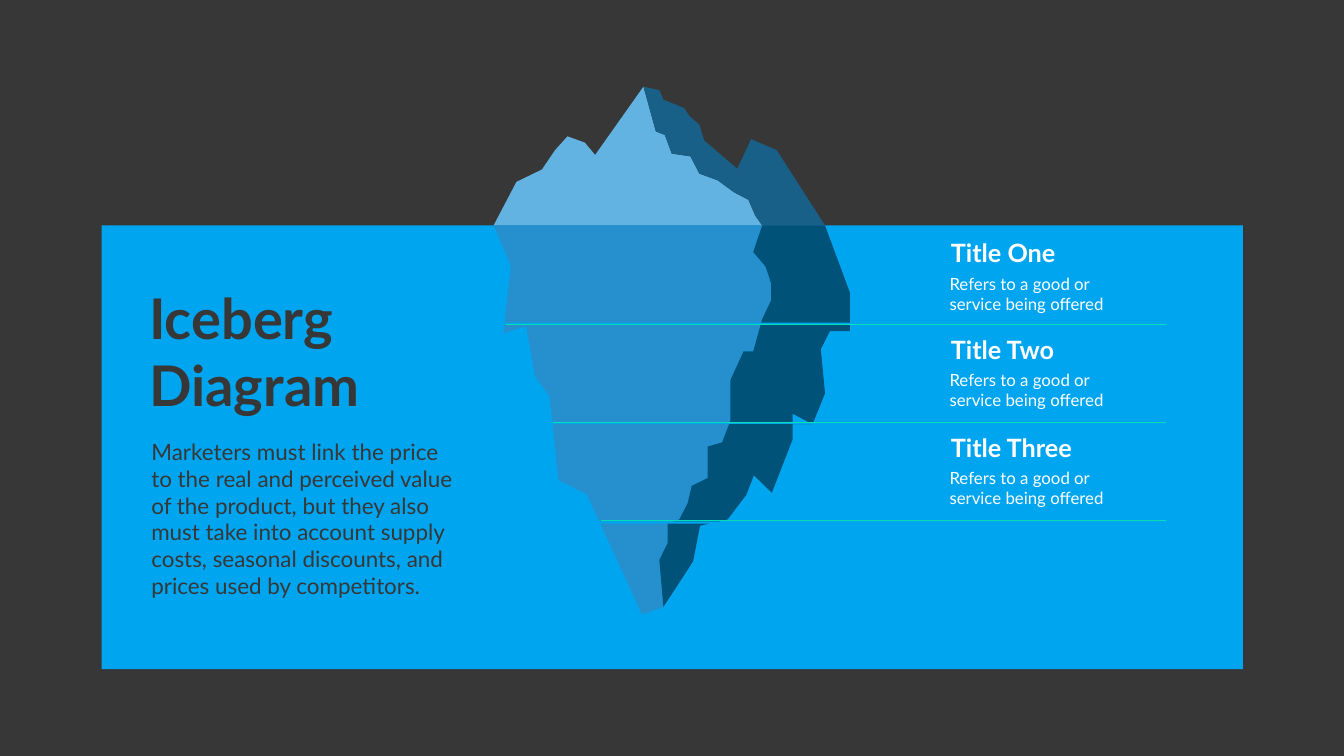
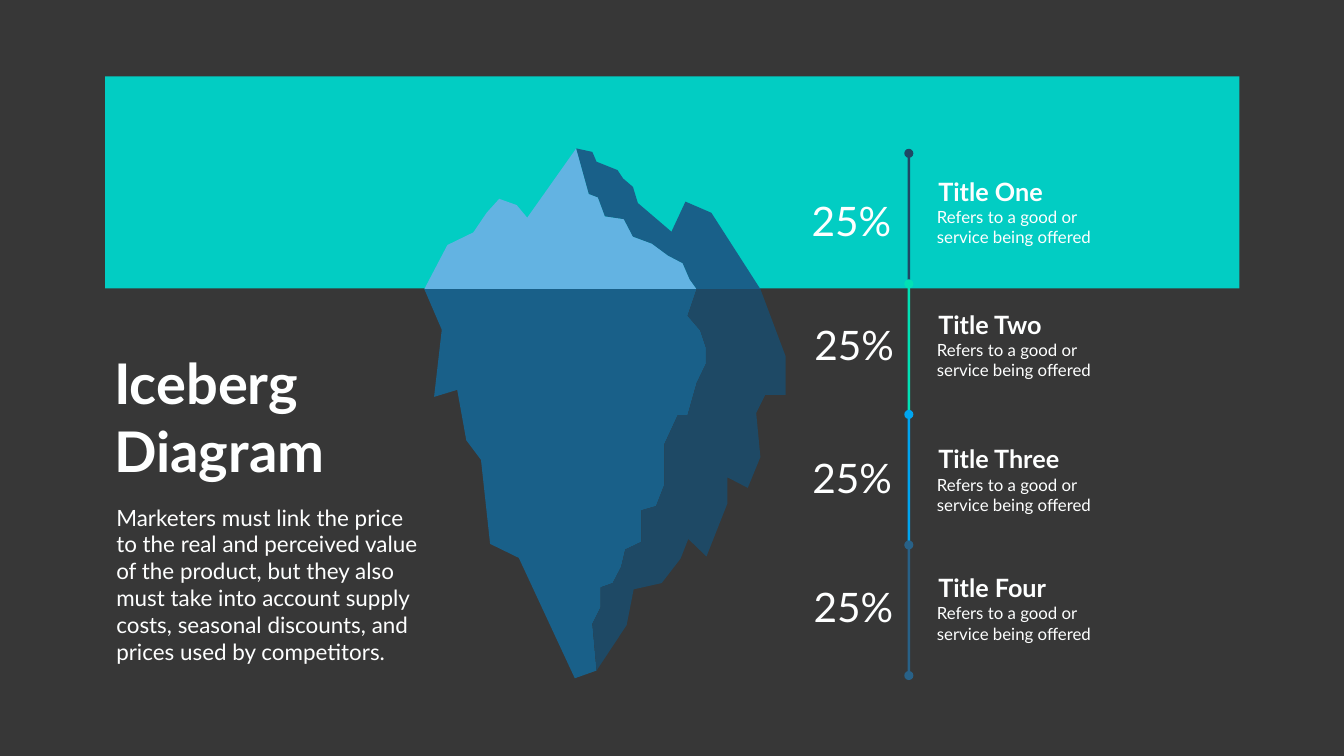
"""Build two iceberg diagram slides that share one iceberg outline."""
from itertools import pairwise

from pptx import Presentation
from pptx.dml.color import RGBColor
from pptx.enum.shapes import MSO_CONNECTOR, MSO_SHAPE
from pptx.enum.text import MSO_AUTO_SIZE
from pptx.oxml.ns import qn
from pptx.util import Pt
from lxml.etree import SubElement

COLORS = {
    "background": "373737", "white": "FFFFFF", "soft_white": "FEFFFF",
    "sea": "00A5F0", "sky": "02CDC3", "mint": "01E1B5",
    "ice_light": "63B3E2", "ice_blue": "2690CE", "ice_mid": "196089",
    "ice_dark": "005278", "ice_navy": "1E4965", "steel": "286187",
}
FONT = "Lato"

HEADLINE = ["Iceberg", "Diagram"]
SUMMARY = [
    "Marketers must link the price to the real and perceived value of the "
    "product, but they also must take into account supply costs, seasonal "
    "discounts, and prices used by competitors."
]
DETAIL = ["Refers to a good or", "service being offered"]

DEPTH_LEVELS = [
    ("Title One", 336, 167),
    ("Title Two", 474, 167),
    ("Title Three", 614, 192),
]
SHARES = [
    ("Title One", 248, 172, "25%", 1152, 276, "ice_navy"),
    ("Title Two", 438, 172, "25%", 1156, 453, "mint"),
    ("Title Three", 630, 192, "25%", 1153, 644, "sea"),
    ("Title Four", 814, 175, "25%", 1155, 828, "steel"),
]

LEFT_PEAKS = [(0, 0), (33, -63), (70, -81), (89, -109), (107, -129),
              (132, -120), (147, -102)]
UPPER_RIDGE = [(217, -201), (235, -136), (248, -131), (258, -104), (285, -100),
               (298, -75), (325, -65), (348, -48), (369, -37), (379, -14),
               (389, 0)]
RIGHT_PEAKS = [(480, 0), (410, -109), (373, -125), (353, -82), (305, -123),
               (298, -146), (284, -158), (276, -170), (246, -182), (240, -196)]
LOWER_RIDGE = [(389, 0), (376, 38), (394, 59), (402, 83), (402, 107),
               (389, 134), (376, 180), (362, 180), (343, 221), (343, 279),
               (331, 310), (310, 316), (310, 361), (287, 372), (281, 397),
               (269, 420), (252, 426), (252, 454), (240, 478), (246, 545)]
LEFT_KEEL = [(215, 556), (135, 384), (94, 364), (81, 244), (60, 216),
             (47, 144), (14, 154), (25, 58), (0, 0)]
RIGHT_KEEL = [(289, 480), (299, 429), (339, 420), (366, 385), (377, 357),
              (403, 382), (433, 306), (433, 269), (462, 284), (480, 240),
              (474, 177), (487, 151), (516, 151), (516, 96), (480, 0)]
KEEL_DEPTH = 556


def color(key):
    return RGBColor.from_string(COLORS[key])


def paint(shape, fill):
    shape.shadow.inherit = False
    shape.fill.solid()
    shape.fill.fore_color.rgb = color(fill)
    shape.line.fill.background()


def add_block(slide, kind, box, fill):
    paint(slide.shapes.add_shape(kind, *map(Pt, box)), fill)


def add_outline(slide, points, fill):
    start, *rest = [(Pt(x), Pt(y)) for x, y in points]
    builder = slide.shapes.build_freeform(*start)
    builder.add_line_segments(rest, close=True)
    paint(builder.convert_to_shape(), fill)


def add_text(slide, box, lines, size, ink, bold=False, wrap=True):
    frame = slide.shapes.add_textbox(*map(Pt, box)).text_frame
    frame.word_wrap = wrap
    frame.auto_size = MSO_AUTO_SIZE.SHAPE_TO_FIT_TEXT
    frame.text = "\n".join(lines)
    for paragraph in frame.paragraphs:
        font = paragraph.font
        font.name, font.size, font.bold = FONT, Pt(size), bold
        font.color.rgb = color(ink)


def clip(points, limit, sign):
    """Keep the part of an outline below (sign 1) or above (sign -1) a depth."""
    kept = []
    for (x1, y1), (x2, y2) in pairwise(points + points[:1]):
        first, second = sign * (y1 - limit), sign * (y2 - limit)
        if first >= 0:
            kept.append((x1, y1))
        if first * second < 0:
            kept.append((x1 + (x2 - x1) * first / (first - second), limit))
    return kept


def add_iceberg(slide, origin, stretch, layers, tip_fills, keel_fills):
    left, waterline = origin

    def place(points, rise):
        return [(left + x * stretch, waterline + y * rise) for x, y in points]

    tips = [LEFT_PEAKS + UPPER_RIDGE, UPPER_RIDGE + RIGHT_PEAKS]
    for tip, fill in zip(tips, tip_fills):
        add_outline(slide, place(tip, stretch), fill)
    keels = [LOWER_RIDGE + LEFT_KEEL, LOWER_RIDGE + RIGHT_KEEL]
    for top, bottom in layers:
        for keel, fill in zip(keels, keel_fills):
            layer = clip(clip(keel, top, 1), bottom, -1)
            add_outline(slide, place(layer, 1), fill)


def add_level_line(slide, start, end, y):
    level = slide.shapes.add_connector(
        MSO_CONNECTOR.STRAIGHT, Pt(start), Pt(y), Pt(end), Pt(y))
    level.line.color.rgb = color("mint")
    level.line.width = Pt(1.45)
    SubElement(level._element.spPr, qn("a:effectLst"))


def add_intro(slide, left, top, ink):
    add_text(slide, (left, top, 321, 201), HEADLINE, 80, ink, True, False)
    add_text(slide, (left + 3, top + 221, 456, 240), SUMMARY, 32, ink)


def add_entry(slide, title, left, top, width, drop, ink):
    add_text(slide, (left, top, width, 51), [title], 36, ink, True)
    add_text(slide, (left - 2, top + drop, 243, 66), DETAIL, 24, ink)


def add_base(deck, panel, fill):
    slide = deck.slides.add_slide(deck.slide_layouts[6])
    slide.background.fill.solid()
    slide.background.fill.fore_color.rgb = color("background")
    add_block(slide, MSO_SHAPE.RECTANGLE, panel, fill)
    return slide


def build_depth_slide(deck):
    slide = add_base(deck, (145, 322, 1630, 634), "sea")
    layers = [(142 * i, 142 * i + 139) for i in range(3)] + [(426, KEEL_DEPTH)]
    add_iceberg(slide, (705, 322), 0.986, layers,
                ("ice_light", "ice_mid"), ("ice_blue", "ice_dark"))
    for i in range(len(DEPTH_LEVELS)):
        add_level_line(slide, 722 + 68 * i, 1666, 464 + 140 * i)
    add_intro(slide, 206, 401, "background")
    for title, top, width in DEPTH_LEVELS:
        add_entry(slide, title, 1351, top, width, 51, "white")


def build_share_slide(deck):
    slide = add_base(deck, (150, 109, 1620, 303), "sky")
    add_iceberg(slide, (606, 413), 1, [(0, KEEL_DEPTH)],
                ("ice_light", "ice_mid"), ("ice_mid", "ice_navy"))
    center, start, step, stem, dot = 1298, 219, 186.5, 3.6, 13

    def add_dot(y, fill):
        add_block(slide, MSO_SHAPE.OVAL,
                  (center - dot / 2, y - dot / 2, dot, dot), fill)

    for i, (*_, fill) in enumerate(SHARES):
        y = start + step * i
        add_block(slide, MSO_SHAPE.RECTANGLE,
                  (center - stem / 2, y, stem, step), fill)
        add_dot(y, fill)
    add_dot(start + step * len(SHARES), SHARES[-1][-1])

    add_intro(slide, 156, 495, "soft_white")
    for title, top, width, share, share_left, share_top, _ in SHARES:
        add_entry(slide, title, 1333, top, width, 44, "soft_white")
        add_text(slide, (share_left, share_top, 135, 80), [share], 58,
                 "soft_white", wrap=False)


def main():
    deck = Presentation()
    deck.slide_width, deck.slide_height = Pt(1919.52), Pt(1080)
    build_depth_slide(deck)
    build_share_slide(deck)
    deck.save("out.pptx")


if __name__ == "__main__":
    main()
